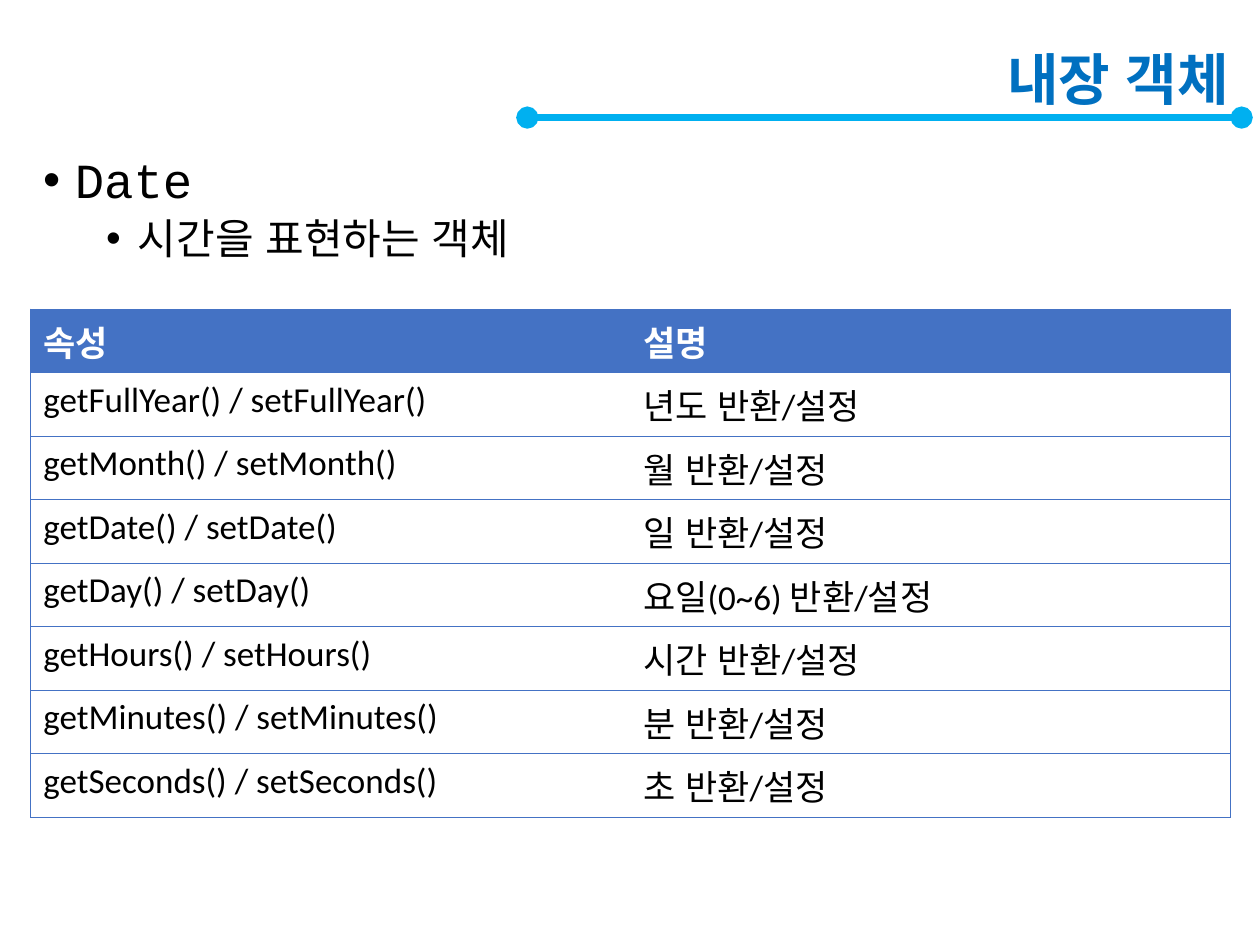
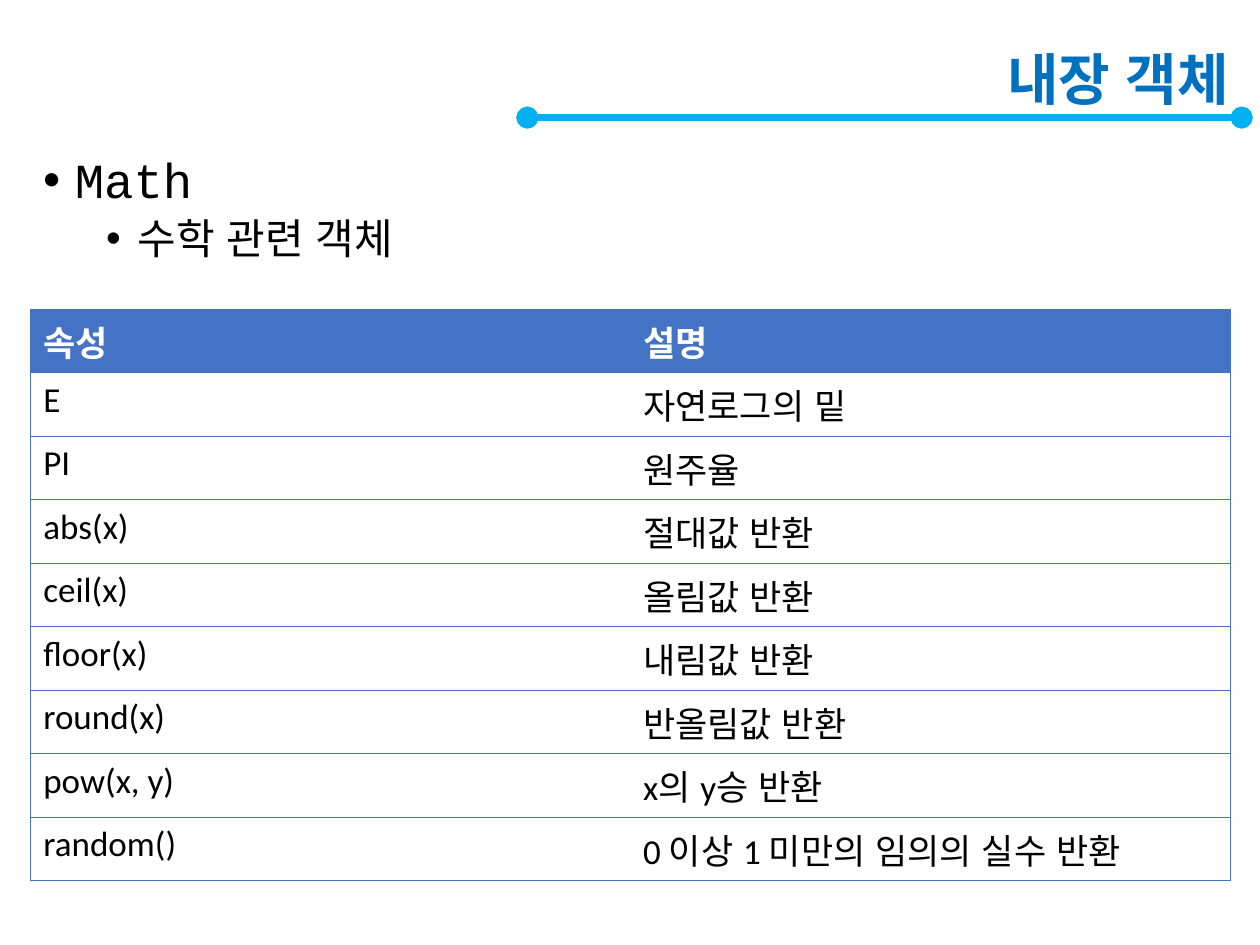
import pptx
import pptx.dml.color
import pptx.enum.lang
import pptx.enum.shapes
import pptx.enum.text
import pptx.oxml
import pptx.oxml.ns
import pptx.util
from pptx.util import Cm, Pt

TITLE = "내장 객체"
HEADER = ("속성", "설명")
PAGES = [
    {
        "object": "Date",
        "summary": "시간을 표현하는 객체",
        "rows": [
            ("getFullYear() / setFullYear()", "년도 반환/설정"),
            ("getMonth() / setMonth()", "월 반환/설정"),
            ("getDate() / setDate()", "일 반환/설정"),
            ("getDay() / setDay()", "요일(0~6) 반환/설정"),
            ("getHours() / setHours()", "시간 반환/설정"),
            ("getMinutes() / setMinutes()", "분 반환/설정"),
            ("getSeconds() / setSeconds()", "초 반환/설정"),
        ],
    },
    {
        "object": "Math",
        "summary": "수학 관련 객체",
        "rows": [
            ("E", "자연로그의 밑"),
            ("PI", "원주율"),
            ("abs(x)", "절대값 반환"),
            ("ceil(x)", "올림값 반환"),
            ("floor(x)", "내림값 반환"),
            ("round(x)", "반올림값 반환"),
            ("pow(x, y)", "x의 y승 반환"),
            ("random()", "0 이상 1 미만의 임의의 실수 반환"),
        ],
    },
]

BLACK, WHITE = "000000", "FFFFFF"
TITLE_BLUE, RULE_BLUE, TABLE_BLUE = "0070C0", "00B0F0", "4472C4"
CODE_FONT, TABLE_FONT = "Courier New", "Calibri"

MARGIN = Cm(0.62)
TEXT_WIDTH = Cm(24.41)
RULE_START, RULE_END, RULE_TOP = Cm(10.63), Cm(25.03), Cm(2.37)
TABLE_TOP, COLUMN_WIDTH, ROW_HEIGHT = Cm(6.23), Cm(12.09), Cm(1.28)
BULLET_HANG = Cm(0.64)
BULLET_LEVELS = [(Cm(0.64), 28, 10), (Cm(1.91), 24, 5)]


def color(code):
    return pptx.dml.color.RGBColor.from_string(code)


def drawing(tag, content=""):
    namespace = pptx.oxml.ns.nsdecls("a")
    return pptx.oxml.parse_xml(f"<a:{tag} {namespace}>{content}</a:{tag.split()[0]}>")


def style_paragraph(para, font_name, size, code, bold=False):
    for span in para.runs:
        span.font.name = font_name
        span.font.size = Pt(size)
        span.font.bold = bold
        span.font.color.rgb = color(code)
        span.font.language_id = pptx.enum.lang.MSO_LANGUAGE_ID.KOREAN


def add_rule(page):
    rule = page.shapes.add_connector(
        pptx.enum.shapes.MSO_CONNECTOR.STRAIGHT, RULE_START, RULE_TOP, RULE_END, RULE_TOP)
    rule.line.color.rgb = color(RULE_BLUE)
    rule.line.width = Pt(4.25)
    line = rule.line._get_or_add_ln()
    for end in ("headEnd", "tailEnd"):
        line.append(drawing(f'{end} type="oval"'))
    rule._element.spPr.append(drawing("effectLst"))
    page.shapes._spTree.insert(2, rule._element)


def fill_title(page):
    title = page.shapes.title
    title.left, title.top, title.width, title.height = MARGIN, MARGIN, TEXT_WIDTH, Cm(2.06)
    frame = title.text_frame
    frame.text = TITLE
    frame.vertical_anchor = pptx.enum.text.MSO_ANCHOR.MIDDLE
    para = frame.paragraphs[0]
    para.alignment = pptx.enum.text.PP_ALIGN.RIGHT
    para.line_spacing = 0.9
    style_paragraph(para, CODE_FONT, 32, TITLE_BLUE, bold=True)


def add_bullets(page, lines):
    box = page.shapes.add_textbox(MARGIN, Cm(3.03), TEXT_WIDTH, Cm(14.78))
    frame = box.text_frame
    frame.word_wrap = True
    frame.text = "\n".join(lines)
    for level, para in enumerate(frame.paragraphs):
        indent, size, space = BULLET_LEVELS[level]
        para.level = level
        para.line_spacing = 0.9
        para.space_before = Pt(space)
        style_paragraph(para, CODE_FONT, size, BLACK)
        properties = para._p.get_or_add_pPr()
        properties.set("marL", str(indent))
        properties.set("indent", str(-BULLET_HANG))
        properties.append(drawing('buFont typeface="Arial"'))
        properties.append(drawing('buChar char="•"'))


def set_borders(cell, visible):
    properties = cell._tc.get_or_add_tcPr()
    for side in ("lnL", "lnR", "lnT", "lnB"):
        paint = "<a:noFill/>"
        if side in visible:
            paint = f'<a:solidFill><a:srgbClr val="{TABLE_BLUE}"/></a:solidFill>'
        properties.append(drawing(f'{side} w="{Pt(0.5)}"', paint))


def add_member_table(page, rows):
    lines = [HEADER] + rows
    table = page.shapes.add_table(
        len(lines), len(HEADER), MARGIN, TABLE_TOP,
        COLUMN_WIDTH * len(HEADER), ROW_HEIGHT * len(lines)).table
    table.horz_banding = False
    for column in table.columns:
        column.width = COLUMN_WIDTH
    for row_index, texts in enumerate(lines):
        table.rows[row_index].height = ROW_HEIGHT
        is_header = row_index == 0
        for text, outer_side, cell in zip(texts, ("lnL", "lnR"), table.rows[row_index].cells):
            set_borders(cell, (outer_side, "lnT", "lnB"))
            if is_header:
                cell.fill.solid()
                cell.fill.fore_color.rgb = color(TABLE_BLUE)
            else:
                cell.fill.background()
            cell.text_frame.text = text
            style_paragraph(cell.text_frame.paragraphs[0], TABLE_FONT, 20,
                            WHITE if is_header else BLACK, bold=is_header)


deck = pptx.Presentation()
deck.slide_width, deck.slide_height = Cm(25.4), Cm(19.05)
title_only = deck.slide_layouts.get_by_name("Title Only")

for content in PAGES:
    page = deck.slides.add_slide(title_only)
    add_rule(page)
    fill_title(page)
    add_bullets(page, (content["object"], content["summary"]))
    add_member_table(page, content["rows"])

deck.save("out.pptx")
